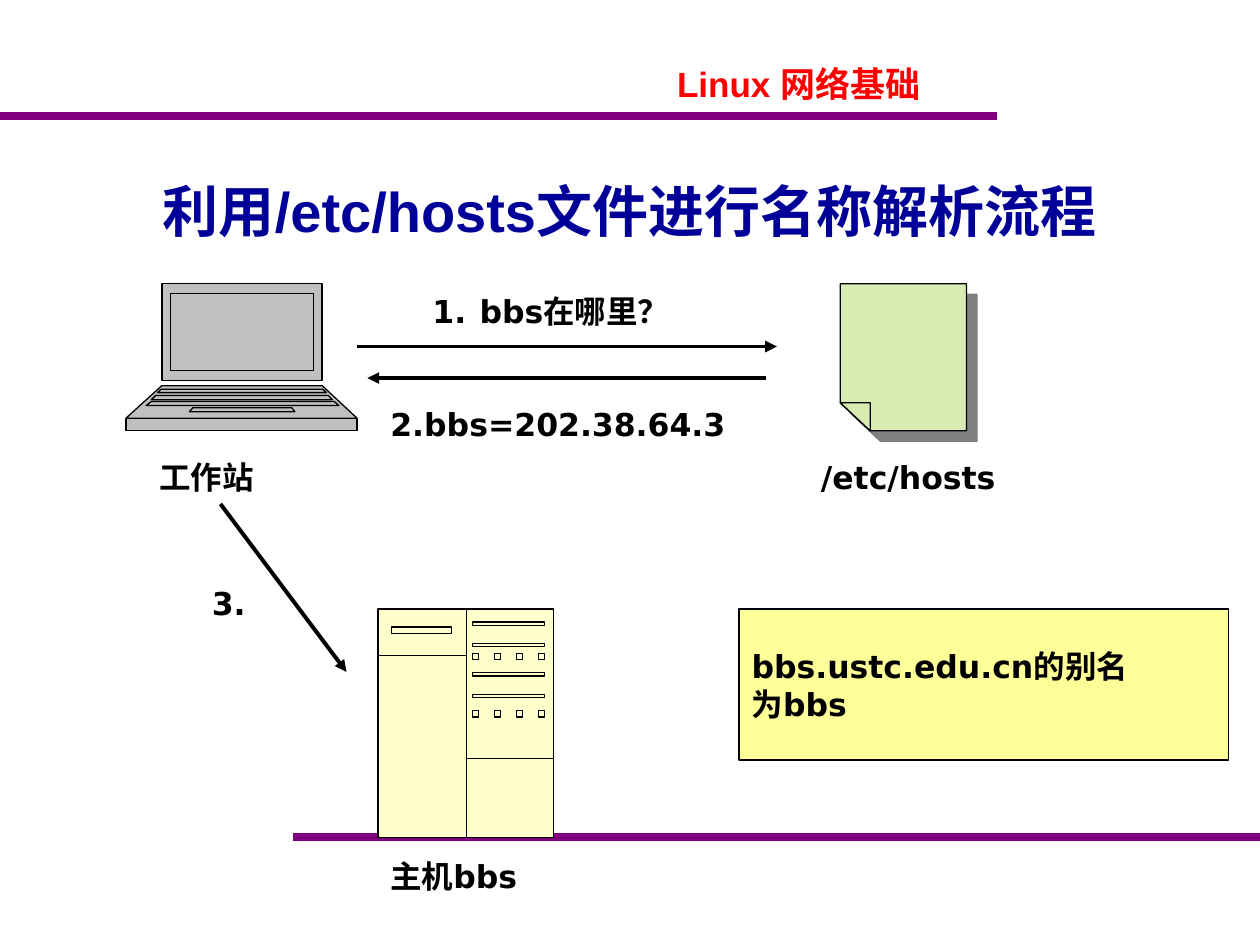
from dataclasses import dataclass

from lxml import etree
from pptx import Presentation, util as u
from pptx.dml.color import RGBColor
from pptx.enum import shapes, text
from pptx.oxml.ns import qn

BLACK, PURPLE, GRAY = "000000", "800080", "C0C0C0"
CREAM, GREEN, YELLOW = "FFFFCC", "D8EBB3", "FFFF99"
LABEL_FONT = "DejaVu Sans"
Points = list[tuple[float, float]]


@dataclass(frozen=True)
class Box:
    left: float
    top: float
    width: float
    height: float


@dataclass(frozen=True)
class Label:
    words: str
    box: Box
    numbered: bool = False


@dataclass(frozen=True)
class Line:
    start: tuple[float, float]
    end: tuple[float, float]
    color: str = BLACK
    width: float = 2.25
    arrow: bool = True


@dataclass(frozen=True)
class Outline:
    points: Points
    closed: bool = True


RULES = [
    Line((0, 66.3), (569.5, 66.3), PURPLE, 4.5, False),
    Line((167.3, 478.2), (720, 478.2), PURPLE, 4.5, False),
]
ARROWS = [
    Line((204, 198), (444, 198)),
    Line((126, 288), (198, 384)),
    Line((438, 216), (210, 216)),
]
LABELS = [
    Label("bbs在哪里？", Box(240, 163.4, 180, 28.8), numbered=True),
    Label("工作站", Box(84, 258, 114, 28.8)),
    Label("/etc/hosts", Box(462, 258, 126, 28.8)),
    Label("主机bbs", Box(216, 486, 132.5, 28.8)),
    Label("3.", Box(114, 330, 36, 28.8)),
    Label("2.bbs=202.38.64.3", Box(216, 228.2, 246, 28.8)),
]


def color(hex_value: str) -> RGBColor:
    return RGBColor.from_string(hex_value)


def style(shape, fill: str) -> None:
    shape.shadow.inherit = False
    shape.fill.solid()
    shape.fill.fore_color.rgb = color(fill)
    shape.line.color.rgb = color(BLACK)
    shape.line.width = u.Pt(0.75)


def place(box: Box) -> tuple:
    return u.Pt(box.left), u.Pt(box.top), u.Pt(box.width), u.Pt(box.height)


def trapezoid(top: float, bottom: float, top_left: float, top_right: float,
              bottom_left: float, bottom_right: float) -> Outline:
    return Outline([(top_left, top), (top_right, top),
                    (bottom_right, bottom), (bottom_left, bottom)])


def rectangle(left: float, top: float, width: float, height: float) -> Outline:
    right = left + width
    return trapezoid(top, top + height, left, right, left, right)


def add_drawing(parent, outlines: list[Outline], fill: str):
    """Add one freeform in which every outline is a path of its own."""
    builder = None
    for outline in outlines:
        start, *rest = [(u.Pt(x), u.Pt(y)) for x, y in outline.points]
        if builder is None:
            builder = parent.build_freeform(*start)
        else:
            builder.move_to(*start)
        builder.add_line_segments(rest, close=outline.closed)
    shape = builder.convert_to_shape()
    style(shape, fill)
    first_path = shape._element.spPr.find(".//" + qn("a:path"))
    path_list, path = first_path.getparent(), first_path
    for step in list(first_path)[1:]:
        if step.tag == qn("a:moveTo"):
            path = etree.SubElement(path_list, qn("a:path"), dict(first_path.attrib))
        path.append(step)
    return shape


def add_line(parent, line: Line) -> None:
    ends = [u.Pt(value) for value in (*line.start, *line.end)]
    connector = parent.add_connector(shapes.MSO_CONNECTOR.STRAIGHT, *ends)
    connector.line.color.rgb = color(line.color)
    connector.line.width = u.Pt(line.width)
    if line.arrow:
        outline = connector.line._get_or_add_ln()
        etree.SubElement(outline, qn("a:tailEnd"), type="triangle")
    etree.SubElement(connector._element.spPr, qn("a:effectLst"))


def add_run(paragraph, words: str, size: float = 18, font: str = LABEL_FONT,
            hex_value: str = BLACK) -> None:
    run = paragraph.add_run()
    run.text = words
    run.font.size = u.Pt(size)
    run.font.name = font
    run.font.bold = True
    run.font.color.rgb = color(hex_value)


def add_text_box(parent, box: Box):
    """Return the first paragraph of a new wrapping text box."""
    frame = parent.add_textbox(*place(box)).text_frame
    frame.word_wrap = True
    frame.auto_size = text.MSO_AUTO_SIZE.SHAPE_TO_FIT_TEXT
    return frame.paragraphs[0]


def add_label(parent, label: Label) -> None:
    paragraph = add_text_box(parent, label.box)
    if label.numbered:
        properties = paragraph._p.get_or_add_pPr()
        properties.set("marL", str(u.Pt(27)))
        properties.set("indent", str(u.Pt(-27)))
        etree.SubElement(properties, qn("a:buFont"), typeface=LABEL_FONT)
        etree.SubElement(properties, qn("a:buAutoNum"), type="arabicPeriod")
    add_run(paragraph, label.words)


def add_hosts_file(parent) -> None:
    page = Outline([(480.2, 162.2), (552.3, 162.2), (552.3, 246.2),
                    (497.3, 246.2), (480.2, 230.2)])
    fold = Outline([(480.2, 230.2), (497.3, 230.2), (497.3, 246.2)])
    shape = add_drawing(parent, [page, fold], GREEN)
    effects = shape._element.spPr.find(qn("a:effectLst"))
    shadow = etree.SubElement(effects, qn("a:outerShdw"), dist=str(u.Pt(8.5)),
                              dir="2700000", algn="ctr", rotWithShape="0")
    etree.SubElement(shadow, qn("a:srgbClr"), val="808080")


def add_server(parent) -> None:
    left, middle, right = 216, 266.5, 316.5
    top, bottom = 348, 478.5
    drive_bay, lower_bay = 374.4, 433.4
    case = rectangle(left, top, right - left, bottom - top)
    dividers = [
        Outline([(left, drive_bay), (middle, drive_bay),
                 (middle, lower_bay), (right, lower_bay)], closed=False),
        Outline([(middle, lower_bay), (middle, bottom)], closed=False),
        Outline([(middle, top), (middle, drive_bay)], closed=False),
    ]
    drive = rectangle(223.7, 358.3, 34.3, 3.6)
    slots = [rectangle(270, slot, 41.3, 1.8) for slot in (355.5, 367.7, 384.5, 396.7)]
    buttons = [rectangle(270 + 12.6 * column, row, 3.5, 3.5)
               for row in (373.5, 406.2) for column in range(4)]
    add_drawing(parent, [case, *dividers, drive, *slots, *buttons], CREAM)


def add_laptop(parent) -> None:
    screen = rectangle(92.6, 162, 91.4, 55.6)
    deck = trapezoid(220.5, 239, 92.4, 184.2, 72, 204)
    front_edge = rectangle(72, 239, 132, 7.2)
    display = rectangle(97.6, 167.7, 81.6, 44)
    keys = [
        trapezoid(222.5, 224.4, 92, 184.5, 90, 186.5),
        trapezoid(233.1, 235.3, 110.2, 166.8, 108.2, 168.5),
        trapezoid(226, 228.5, 89, 187.5, 86.5, 190),
        trapezoid(229.5, 231.8, 86.5, 191, 83.5, 193.7),
    ]
    add_drawing(parent, [screen, deck, front_edge, display, *keys], GRAY)


def add_title(slide) -> None:
    title = slide.shapes.title
    title.left, title.top, title.width, title.height = place(Box(24, 88.8, 672, 62))
    title.text_frame.vertical_anchor = text.MSO_ANCHOR.MIDDLE
    paragraph = title.text_frame.paragraphs[0]
    paragraph.alignment = text.PP_ALIGN.CENTER
    add_run(paragraph, "利用/etc/hosts文件进行名称解析流程", 32, "Arial", "000099")


def add_alias_note(parent) -> None:
    note = parent.add_shape(shapes.MSO_SHAPE.RECTANGLE,
                            *place(Box(422.4, 348, 279.6, 86.4)))
    style(note, YELLOW)
    frame = note.text_frame
    frame.word_wrap = False
    frame.vertical_anchor = text.MSO_ANCHOR.MIDDLE
    for paragraph, words in ((frame.paragraphs[0], "bbs.ustc.edu.cn的别名"),
                             (frame.add_paragraph(), "为bbs")):
        paragraph.alignment = text.PP_ALIGN.LEFT
        add_run(paragraph, words)


def main() -> None:
    presentation = Presentation()
    presentation.slide_width, presentation.slide_height = u.Pt(720), u.Pt(540)
    slide = presentation.slides.add_slide(presentation.slide_layouts[5])
    parent = slide.shapes
    for rule in RULES:
        add_line(parent, rule)
    header = add_text_box(parent, Box(193, 32, 527, 31.7))
    header.alignment = text.PP_ALIGN.CENTER
    add_run(header, "Linux 网络基础", 20, "Arial", "FF0000")
    add_title(slide)
    add_hosts_file(parent)
    add_server(parent)
    add_laptop(parent)
    add_alias_note(parent)
    for arrow in ARROWS:
        add_line(parent, arrow)
    for label in LABELS:
        add_label(parent, label)
    presentation.save("out.pptx")


if __name__ == "__main__":
    main()
